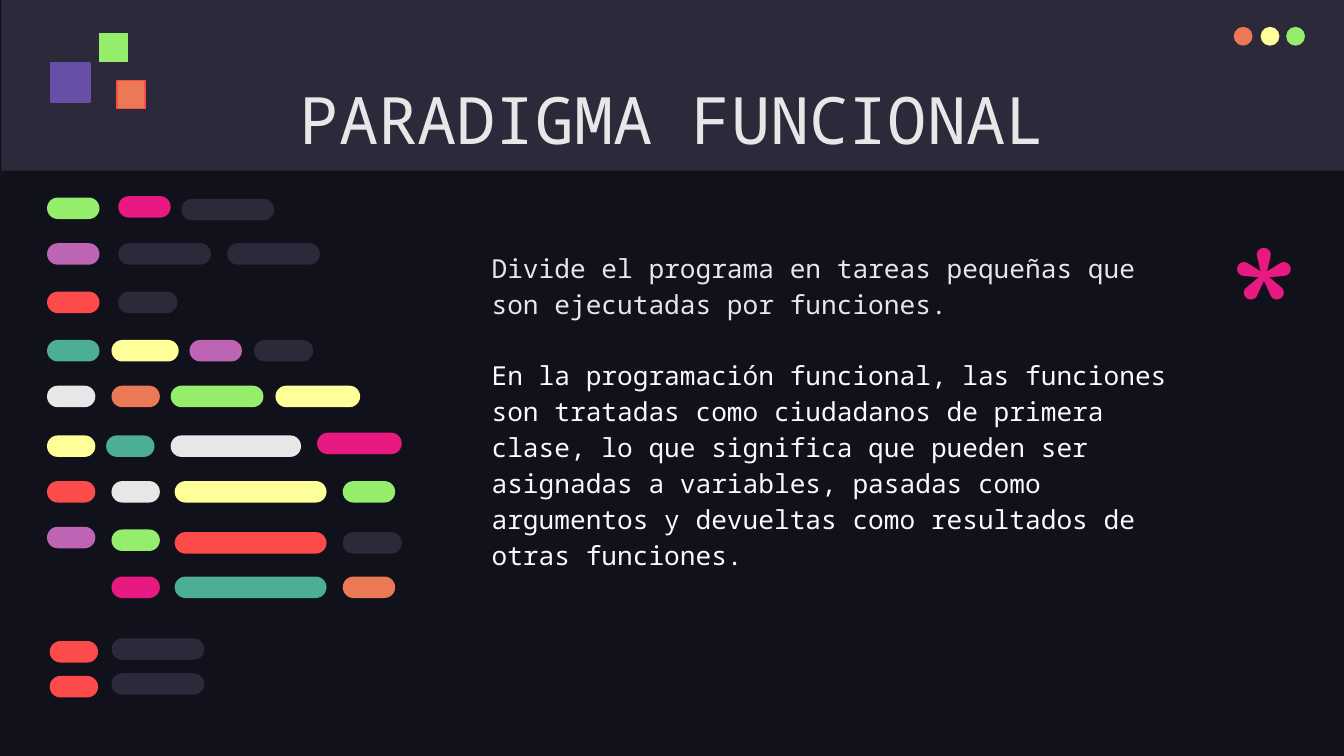
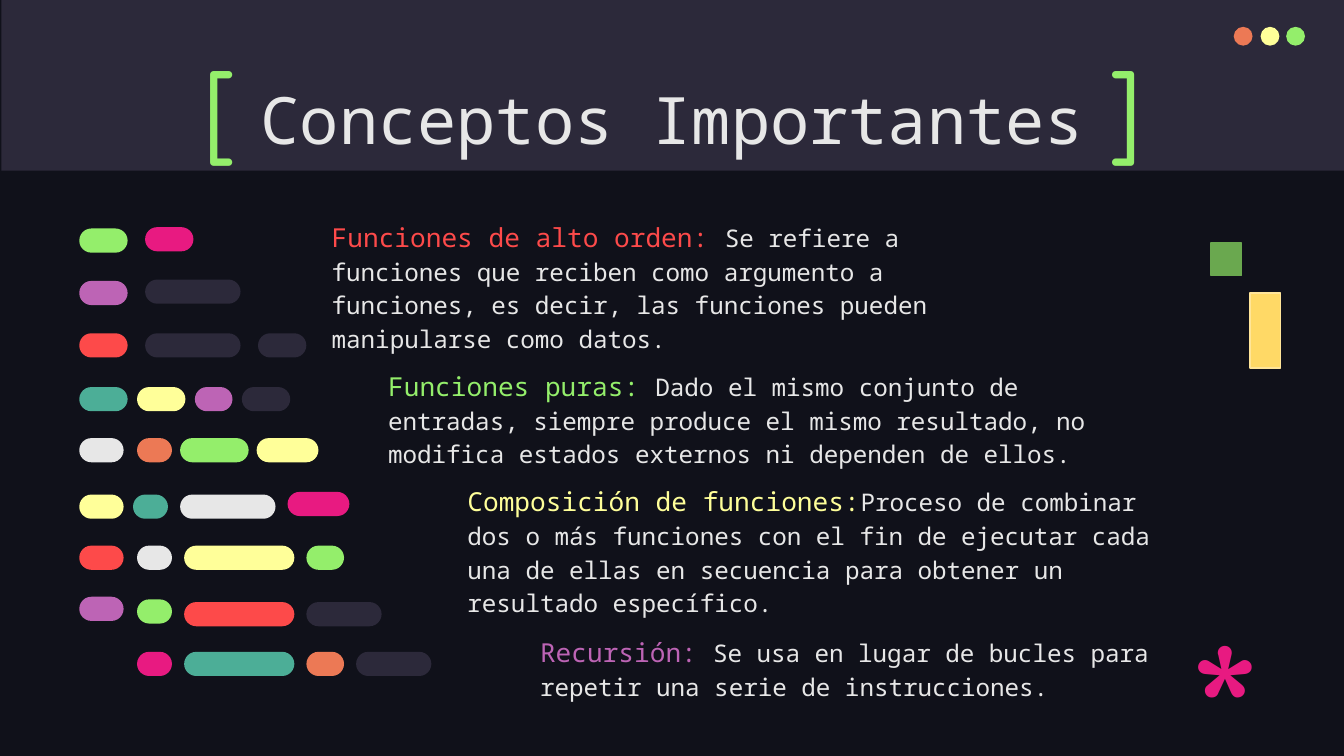
from pptx import Presentation
from pptx.dml.color import RGBColor
from pptx.enum.shapes import MSO_SHAPE as Shape
from pptx.enum.text import MSO_ANCHOR as Anchor, PP_ALIGN as Align
from pptx.util import Pt

PX = 9144
MONO, ROUND = "Noto Sans Mono", "Comfortaa"
NIGHT, SLATE, SILVER, WHITE = "10111A", "2C293A", "E7E7E7", "F8FAFB"
GREEN, PINK, PURPLE, RED = "94EE6B", "E81A81", "BD64B5", "FD4A4A"
TEAL, YELLOW, ORANGE = "4CAE97", "FFFF99", "EC7955"


def add_block(page, kind, box, fill, line=None):
    block = page.shapes.add_shape(kind, *(n * PX for n in box))
    block.shadow.inherit = False
    block.fill.solid()
    block.fill.fore_color.rgb = RGBColor.from_string(fill)
    if line:
        block.line.color.rgb = RGBColor.from_string(line)
        block.line.width = Pt(0.75)
    else:
        block.line.fill.background()
    return block


def add_text(page, box, paras, font=MONO, align=Align.LEFT, spacing=1.0, gap=0):
    frame = page.shapes.add_textbox(*(n * PX for n in box)).text_frame
    frame.word_wrap = True
    frame.vertical_anchor = Anchor.TOP
    frame.margin_left = frame.margin_right = 10 * PX
    frame.margin_top = frame.margin_bottom = 10 * PX
    for index, spans in enumerate(paras):
        para = frame.add_paragraph() if index else frame.paragraphs[0]
        para.alignment = align
        para.line_spacing = spacing
        para.space_before = Pt(gap if index else 0)
        for text, size, color in spans:
            span = para.add_run()
            span.text = text
            span.font.name = font
            span.font.size = Pt(size)
            span.font.color.rgb = RGBColor.from_string(color)


deck = Presentation()
deck.slide_width = 1000 * PX
deck.slide_height = deck.slide_width * 9 // 16

paradigm_pills = [
    (146, [(88, 39, PINK)]),
    (147, [(35, 39, GREEN)]),
    (148, [(135, 69, SLATE)]),
    (181, [(35, 39, PURPLE), (88, 69, SLATE), (169, 69, SLATE)]),
    (217, [(35, 39, RED), (88, 44, SLATE)]),
    (253, [(35, 39, TEAL), (83, 50, YELLOW), (141, 39, PURPLE), (189, 44, SLATE)]),
    (287, [(35, 36, SILVER), (83, 36, ORANGE), (127, 69, GREEN), (205, 63, YELLOW)]),
    (322, [(236, 63, PINK)]),
    (324, [(35, 36, YELLOW), (79, 36, TEAL), (127, 97, SILVER)]),
    (358, [(35, 36, RED), (83, 36, SILVER), (130, 113, YELLOW), (255, 39, GREEN)]),
    (392, [(35, 36, PURPLE)]),
    (394, [(83, 36, GREEN)]),
    (396, [(130, 113, RED), (255, 44, SLATE)]),
    (429, [(83, 36, PINK), (130, 113, TEAL), (255, 39, ORANGE)]),
    (475, [(83, 69, SLATE)]),
    (477, [(37, 36, RED)]),
    (501, [(83, 69, SLATE)]),
    (503, [(37, 36, RED)]),
]
concept_pills = [
    (169, [(108, 36, PINK)]),
    (170, [(59, 36, GREEN)]),
    (208, [(108, 71, SLATE)]),
    (209, [(59, 36, PURPLE)]),
    (248, [(59, 36, RED), (108, 71, SLATE), (192, 36, SLATE)]),
    (288, [(59, 36, TEAL), (102, 36, YELLOW), (145, 28, PURPLE), (180, 36, SLATE)]),
    (326, [(59, 33, SILVER), (102, 26, ORANGE), (134, 51, GREEN), (191, 46, YELLOW)]),
    (366, [(214, 46, PINK)]),
    (368, [(59, 33, YELLOW), (99, 26, TEAL), (134, 71, SILVER)]),
    (406, [(59, 33, RED), (102, 26, SILVER), (137, 82, YELLOW), (228, 28, GREEN)]),
    (444, [(59, 33, PURPLE)]),
    (446, [(102, 26, GREEN)]),
    (448, [(137, 82, RED), (228, 56, SLATE)]),
    (485, [(102, 26, PINK), (137, 82, TEAL), (228, 28, ORANGE), (265, 56, SLATE)]),
]
paradigm_squares = [
    ((87, 60, 21, 21), ORANGE, RED),
    ((74, 25, 21, 21), GREEN, GREEN),
    ((38, 47, 29, 29), "674EA7", "674EA7"),
]
concept_squares = [
    ((901, 181, 23, 24), "6AA84F", "6AA84F"),
    ((930, 218, 23, 56), "FFD966", "FFE599"),
]
slides = [
    ("PARADIGMA FUNCIONAL", paradigm_pills, 16, paradigm_squares, (905, 146)),
    ("Conceptos Importantes", concept_pills, 18, concept_squares, (876, 442)),
]

pages = []
for title, pill_rows, pill_height, squares, star in slides:
    page = deck.slides.add_slide(deck.slide_layouts[6])
    pages.append(page)
    page.background.fill.solid()
    page.background.fill.fore_color.rgb = RGBColor.from_string(NIGHT)
    add_block(page, Shape.RECTANGLE, (1, 0, 1000, 127), SLATE)
    for left, color in ((918, ORANGE), (938, YELLOW), (957, GREEN)):
        add_block(page, Shape.OVAL, (left, 20, 14, 14), color)
    add_text(page, (79, 49, 843, 63), [[(title, 35, SILVER)]], align=Align.CENTER)
    for top, pills in pill_rows:
        for left, width, color in pills:
            pill = add_block(page, Shape.ROUNDED_RECTANGLE,
                             (left, top, width, pill_height), color)
            pill.adjustments[0] = 0.5
    for box, fill, line in squares:
        add_block(page, Shape.RECTANGLE, box, fill, line)
    add_text(page, (*star, 57, 87), [[("*", 96, PINK)]], font=ROUND)

paradigm_page, concept_page = pages

add_text(paradigm_page, (356, 174, 543, 336), [
    [("Divide el programa en tareas pequeñas que son ejecutadas por funciones.",
      14, SILVER)],
    [("En la programación funcional, las funciones son tratadas como ciudadanos "
      "de primera clase, lo que significa que pueden ser asignadas a variables, "
      "pasadas como argumentos y devueltas como resultados de otras funciones.",
      14, WHITE)],
], spacing=1.15, gap=19)

concepts = [
    (237, 151, "Funciones de alto orden: ", RED,
     "Se refiere a funciones que reciben como argumento a funciones, es decir, "
     "las funciones pueden manipularse como datos."),
    (279, 262, "Funciones puras: ", GREEN,
     "Dado el mismo conjunto de entradas, siempre produce el mismo resultado, "
     "no modifica estados externos ni dependen de ellos."),
    (338, 348, "Composición de funciones:", YELLOW,
     "Proceso de combinar dos o más funciones con el fin de ejecutar cada una "
     "de ellas en secuencia para obtener un resultado específico."),
    (392, 460, "Recursión: ", PURPLE,
     "Se usa en lugar de bucles para repetir una serie de instrucciones."),
]
for left, top, term, color, meaning in concepts:
    add_text(concept_page, (left, top, 543, 111),
             [[(term, 14, color), (meaning, 13, SILVER)]], spacing=1.15)

for left, bracket in ((142, "["), (818, "]")):
    add_text(concept_page, (left, 28, 77, 95), [[(bracket, 50, GREEN)]], font=ROUND)

deck.save("out.pptx")
